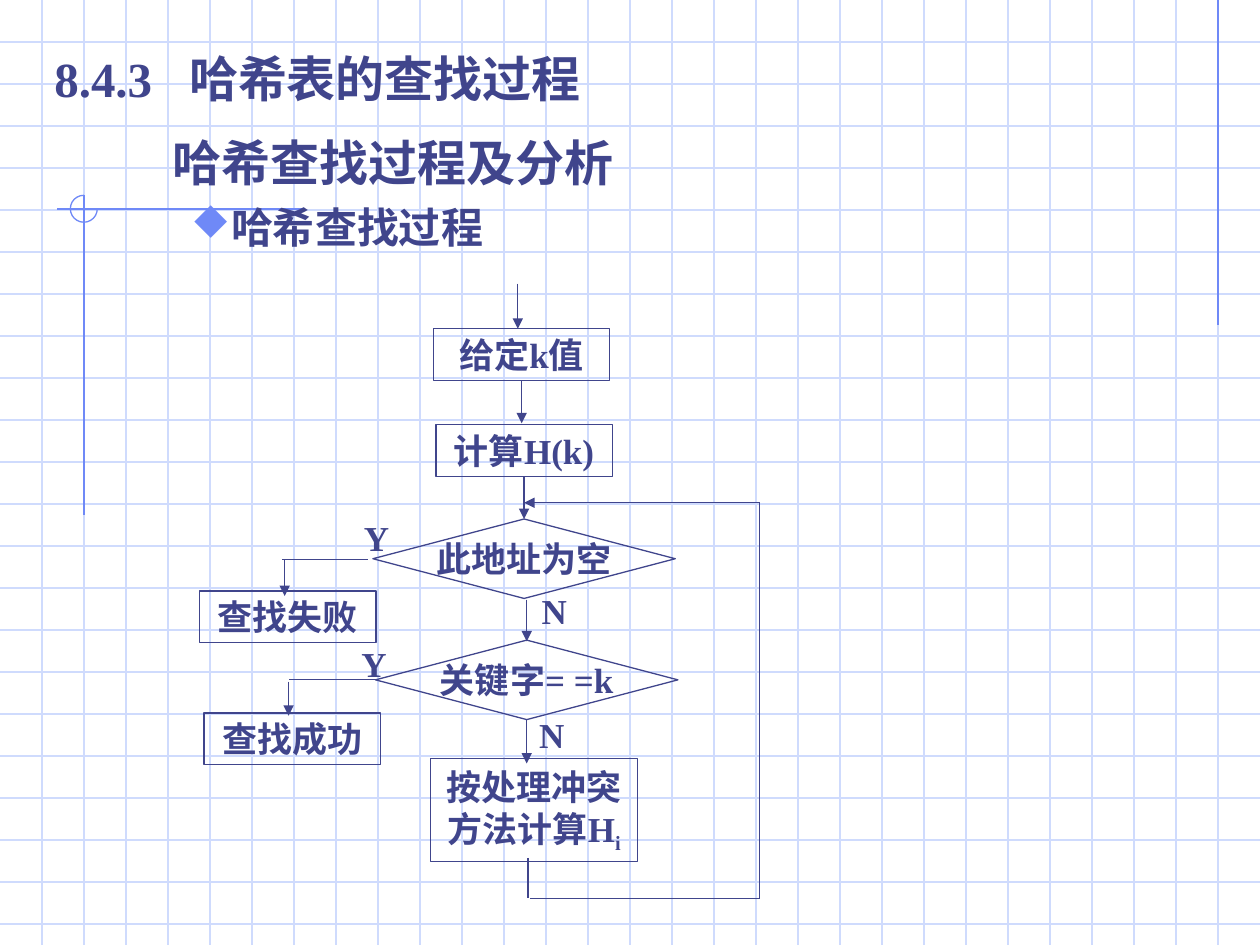
from collections import namedtuple
from dataclasses import dataclass

from lxml.etree import SubElement
from pptx import Presentation
from pptx.dml.color import RGBColor
from pptx.enum.shapes import MSO_CONNECTOR as Link, MSO_SHAPE as Shape
from pptx.enum.text import MSO_ANCHOR as Anchor, PP_ALIGN as Align
from pptx.oxml.ns import qn
from pptx.util import Pt

Box = namedtuple("Box", "left top width height")


@dataclass(frozen=True)
class Theme:
    ink: str = "40458C"
    accent: str = "6F89F7"
    grid: str = "CFDBFD"
    font: str = "Times New Roman"
    bullet_font: str = "Wingdings"
    heading: int = 28
    topic: int = 24
    label: int = 20
    stroke: float = 0.75


THEME = Theme()


def color(code):
    return RGBColor.from_string(code)


def apply(target, values):
    for name, value in values.items():
        setattr(target, name, value)


def within(box, left, top, width, height):
    return [Pt(n) for n in (box.left + left, box.top + top, width, height)]


def add_line(page, box, start, end, code=THEME.ink, arrow=False):
    points = [Pt(n) for n in (box.left + start[0], box.top + start[1],
                              box.left + end[0], box.top + end[1])]
    line = page.shapes.add_connector(Link.STRAIGHT, *points)
    line.line.color.rgb = color(code)
    line.line.width = Pt(THEME.stroke)
    if arrow:
        SubElement(line.line._get_or_add_ln(), qn("a:tailEnd"), type="triangle")
    SubElement(line._element.spPr, qn("a:effectLst"))


def add_outline(page, box, kind, place, code=THEME.ink):
    shape = page.shapes.add_shape(kind, *within(box, *place))
    shape.shadow.inherit = False
    shape.fill.background()
    shape.line.color.rgb = color(code)
    shape.line.width = Pt(THEME.stroke)
    return shape


def write(para, text, size, **extra):
    span = para.add_run()
    span.text = text
    apply(span.font, {"name": THEME.font, "size": Pt(size), "bold": True, **extra})
    span.font.color.rgb = color(THEME.ink)
    return span


def add_text_box(page, box, place):
    frame = page.shapes.add_textbox(*within(box, *place)).text_frame
    frame.word_wrap = True
    return frame


def draw_background(page, box, step=24):
    for y in range(step, box.height, step):
        add_line(page, box, (0, y), (box.width, y), THEME.grid)
    for x in range(step, box.width, step):
        add_line(page, box, (x, 0), (x, box.height), THEME.grid)
    for start, end in [((696, 0), (696, 186)), ((173, 119.4), (32.4, 119.4)),
                       ((48, 111.6), (48, 294.5))]:
        add_line(page, box, start, end, THEME.accent)
    arc = add_outline(page, box, Shape.ARC, (40.2, 111.6, 15.4, 15.4), THEME.accent)
    arc.adjustments[0] = 0
    arc.adjustments[1] = 162


def draw_title(page, box):
    para = add_text_box(page, box, (0, 0, box.width, box.height)).paragraphs[0]
    write(para, "8.4.3\t哈希表的查找过程", THEME.heading)
    stops = SubElement(para._p.get_or_add_pPr(), qn("a:tabLst"))
    SubElement(stops, qn("a:tab"), pos=str(Pt(77)), algn="l")


def draw_topics(page, box):
    frame = add_text_box(page, box, (0, 0, box.width, box.height))
    heading = frame.paragraphs[0]
    heading.space_before = Pt(7)
    heading._p.get_or_add_pPr().set("marL", str(Pt(61.5)))
    write(heading, "哈希查找过程及分析", THEME.heading)

    topic = frame.add_paragraph()
    apply(topic, {"level": 1, "space_before": Pt(6)})
    props = topic._p.get_or_add_pPr()
    props.set("marL", str(Pt(90)))
    props.set("indent", str(Pt(-18)))
    SubElement(SubElement(props, qn("a:buClr")), qn("a:srgbClr"), val=THEME.accent)
    SubElement(props, qn("a:buSzPct"), val="95000")
    SubElement(props, qn("a:buFont"), typeface=THEME.bullet_font,
               pitchFamily="2", charset="2")
    SubElement(props, qn("a:buChar"), char="u")
    write(topic, "哈希查找过程", THEME.topic)


def add_node(page, box, kind, place, lines):
    frame = add_outline(page, box, kind, place).text_frame
    apply(frame, {"word_wrap": False, "vertical_anchor": Anchor.MIDDLE})
    for index, text in enumerate(lines):
        para = frame.add_paragraph() if index else frame.paragraphs[0]
        para.alignment = Align.CENTER
        write(para, text, THEME.label)
    return frame


def draw_flowchart(page, box):
    step, choice = (100.8, 29.5), (172.8, 45.4)
    nodes = [
        (Shape.FLOWCHART_PROCESS, (133.7, 25.9), step, "给定k值"),
        (Shape.FLOWCHART_PROCESS, (135.1, 80.6), step, "计算H(k)"),
        (Shape.FLOWCHART_DECISION, (99.1, 134.6), choice, "此地址为空"),
        (Shape.FLOWCHART_DECISION, (100.6, 203.8), choice, "关键字= =k"),
        (Shape.FLOWCHART_PROCESS, (0, 175.7), step, "查找失败"),
        (Shape.FLOWCHART_PROCESS, (2.6, 245.5), step, "查找成功"),
    ]
    for kind, corner, size, text in nodes:
        add_node(page, box, kind, corner + size, [text])
    rehash = add_node(page, box, Shape.FLOWCHART_PROCESS, (132.2, 271.4, 118, 59),
                      ["按处理冲突", "方法计算H"])
    index = write(rehash.paragraphs[1], "i", THEME.label)
    index.font._element.set("baseline", "-25000")

    arrows = [
        ((181.9, 0), (181.9, 25.9)), ((184.1, 55.4), (184.1, 79.9)),
        ((185.5, 110.2), (185.5, 134.6)), ((187, 180.7), (187, 204.5)),
        ((187, 249.1), (187, 274.3)), ((48.7, 157.7), (48.7, 178.6)),
        ((50.9, 227.5), (50.9, 247)), ((320.2, 125.3), (185.5, 125.3)),
    ]
    plain = [
        ((96.2, 157.7), (47.3, 157.7)), ((101.3, 226.1), (50.9, 226.1)),
        ((187.7, 328.3), (187.7, 351.4)), ((189.1, 351.4), (320.2, 351.4)),
        ((320.2, 351.4), (320.2, 125.3)),
    ]
    for lines, arrow in ((arrows, True), (plain, False)):
        for start, end in lines:
            add_line(page, box, start, end, arrow=arrow)

    for text, left, top in [("Y", 86.9, 129.6), ("N", 188.4, 171.4),
                            ("Y", 85.4, 201.6), ("N", 187, 241.9)]:
        frame = add_text_box(page, box, (left, top, 28.8, 31.7))
        write(frame.paragraphs[0], text, THEME.label)


def main():
    deck = Presentation()
    apply(deck, {"slide_width": Pt(720), "slide_height": Pt(540)})
    page = deck.slides.add_slide(deck.slide_layouts[6])
    draw_background(page, Box(0, 0, 720, 540))
    draw_topics(page, Box(30.2, 72, 669.6, 80.6))
    draw_flowchart(page, Box(114, 162, 320, 352))
    draw_title(page, Box(24, 24, 328.3, 41))
    deck.save("out.pptx")


if __name__ == "__main__":
    main()
